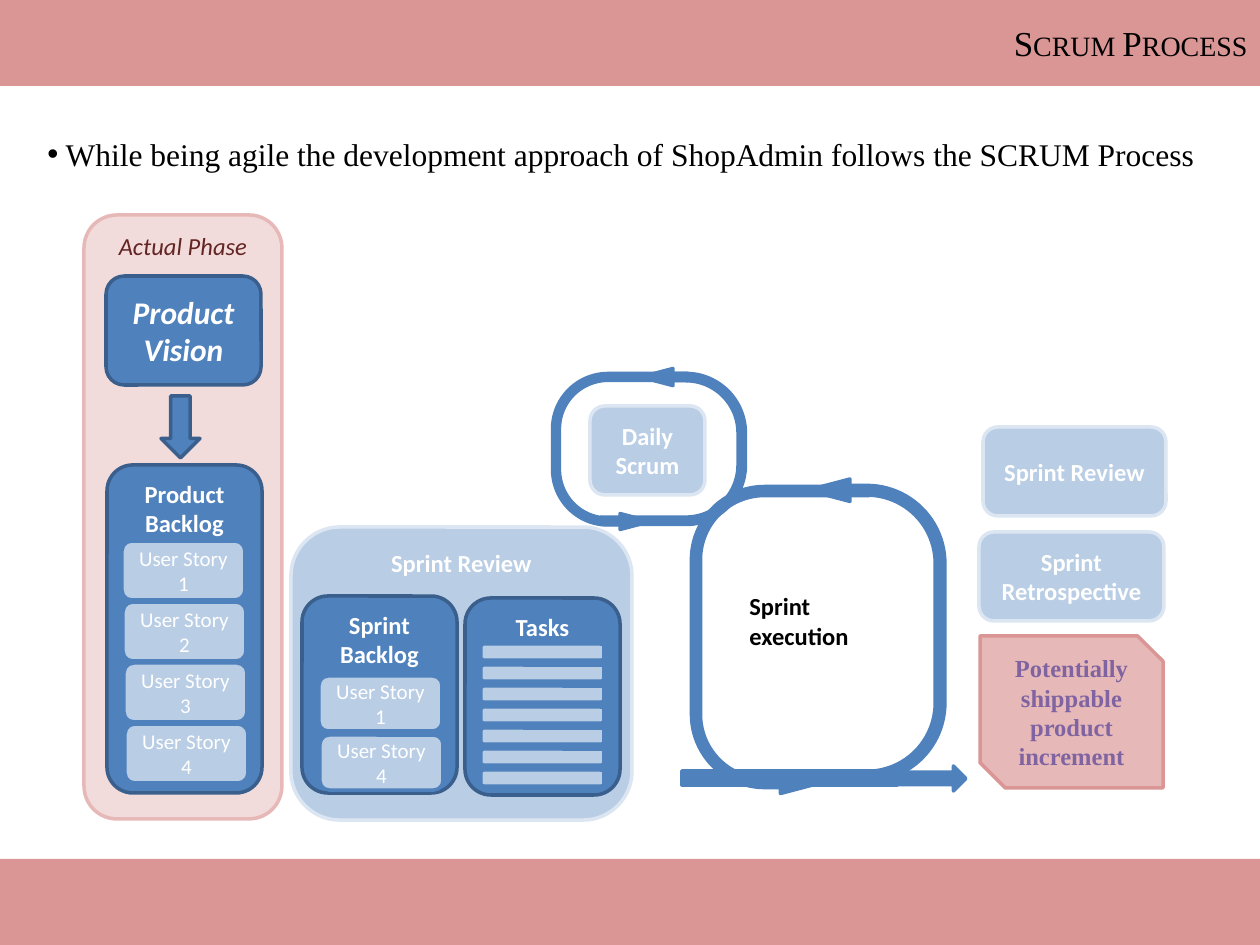
"""Build the Scrum process slide."""
from lxml import etree
from pptx import Presentation
from pptx.dml.color import RGBColor
from pptx.enum.shapes import MSO_SHAPE
from pptx.enum.text import MSO_ANCHOR, PP_ALIGN
from pptx.oxml.ns import qn
from pptx.util import Emu, Pt

ROUND, RECT = MSO_SHAPE.ROUNDED_RECTANGLE, MSO_SHAPE.RECTANGLE
SNIP, DOWN = MSO_SHAPE.SNIP_2_DIAG_RECTANGLE, MSO_SHAPE.DOWN_ARROW
TURN, NOTCH = MSO_SHAPE.U_TURN_ARROW, MSO_SHAPE.NOTCHED_RIGHT_ARROW
TOP, MIDDLE = MSO_ANCHOR.TOP, MSO_ANCHOR.MIDDLE
LEFT, CENTER, RIGHT = PP_ALIGN.LEFT, PP_ALIGN.CENTER, PP_ALIGN.RIGHT

BLACK = RGBColor(0x00, 0x00, 0x00)
WHITE = RGBColor(0xFF, 0xFF, 0xFF)
BLUE = RGBColor(0x4F, 0x81, 0xBD)
NAVY = RGBColor(0x3A, 0x5F, 0x8C)
SKY = RGBColor(0xB9, 0xCD, 0xE5)
ICE = RGBColor(0xDC, 0xE6, 0xF2)
ROSE = RGBColor(0xD9, 0x96, 0x94)
PINK = RGBColor(0xE6, 0xB9, 0xB8)
BLUSH = RGBColor(0xF2, 0xDC, 0xDB)
WINE = RGBColor(0x63, 0x25, 0x23)
PURPLE = RGBColor(0x80, 0x64, 0xA2)

SANS, SERIF = "Calibri", "Times New Roman"
SCALE = 914400 / 126
BEND = (0.051, 0.059, 0.224, 0.411, 0.724)


def px(*sizes):
    """Turn pixel lengths into EMU."""
    return [Emu(round(size * SCALE)) for size in sizes]


def write(shape, text, size=14, color=WHITE, font=SANS, bold=True,
          italic=False, align=CENTER, anchor=MIDDLE):
    """Write one paragraph per line of text."""
    frame = shape.text_frame
    frame.word_wrap = True
    frame.vertical_anchor = anchor
    for i, line in enumerate(text.split("\n")):
        para = frame.add_paragraph() if i else frame.paragraphs[0]
        para.alignment = align
        run = para.add_run()
        run.text = line
        run.font.size = Pt(size)
        run.font.name = font
        run.font.bold = bold
        run.font.italic = italic
        run.font.color.rgb = color
    return frame.paragraphs[0]


def block(tree, kind, box, fill, line=None):
    """Add a filled shape, outlined if a line colour is given."""
    shape = tree.add_shape(kind, *px(*box))
    shape.shadow.inherit = False
    shape.fill.solid()
    shape.fill.fore_color.rgb = fill
    if line is None:
        shape.line.fill.background()
    else:
        shape.line.color.rgb = line
        shape.line.width = Pt(2)
    return shape


def bend(tree, box, angle):
    """Add a mirrored, turned U-turn arrow."""
    shape = block(tree, TURN, box, BLUE, BLUE)
    for i, value in enumerate(BEND):
        shape.adjustments[i] = value
    shape.rotation = angle
    shape.element.spPr.find(qn("a:xfrm")).set("flipH", "1")


def card(tree, box, title):
    """Add a dark card with its title at the top."""
    write(block(tree, ROUND, box, BLUE, NAVY), title, anchor=TOP)


def story(tree, box, number):
    """Add a user story tile."""
    tile = block(tree, ROUND, box, SKY, BLUE)
    write(tile, f"User Story {number}", 12, bold=False)


def frame(tree):
    """Add the bands, the heading and the bullet line."""
    head = block(tree, RECT, (0, 0, 1260, 86), ROSE)
    para = write(head, "Scrum Process", 20, BLACK, SERIF, False, align=RIGHT)
    para.runs[0].font._element.set("cap", "small")
    block(tree, RECT, (0, 859, 1260, 86), ROSE)
    note = tree.add_textbox(*px(35, 110, 1181, 68))
    para = write(note, " While being agile the development approach of "
                 "ShopAdmin follows the SCRUM Process",
                 18, BLACK, SERIF, False, align=LEFT, anchor=TOP)
    para.line_spacing = 1.5
    props = para._p.get_or_add_pPr()
    etree.SubElement(props, qn("a:buFont")).set("typeface", "Arial")
    etree.SubElement(props, qn("a:buChar")).set("char", "•")


def backlogs(tree):
    """Add the product backlog, sprint backlog and task cards."""
    group = tree.add_group_shape().shapes
    card(group, (107, 465, 155, 328), "Product Backlog")
    for i in range(4):
        story(group, (122 + i, 541 + 61 * i, 123, 59), i + 1)
    group = tree.add_group_shape().shapes
    card(group, (302, 596, 155, 197), "Sprint Backlog")
    for i, number in enumerate((1, 4)):
        story(group, (319 + i, 676 + 59 * i, 123, 55), number)
    group = tree.add_group_shape().shapes
    card(group, (465, 598, 155, 197), "Tasks")
    for i in range(7):
        block(group, ROUND, (481, 644 + 21 * i, 123, 16), SKY, BLUE)


def loops(tree):
    """Add the sprint and daily loops with their label."""
    group = tree.add_group_shape().shapes
    bend(group, (699, 535, 302, 190), 90)
    bend(group, (627, 551, 307, 178), 270)
    block(group, NOTCH, (814, 766, 152, 25), BLUE, BLUE)
    block(group, RECT, (682, 771, 215, 14), BLUE, BLUE)
    label = group.add_textbox(*px(737, 585, 126, 72))
    write(label, "Sprint\nexecution", color=BLACK, align=LEFT, anchor=TOP)
    bend(group, (595, 374, 156, 145), 90)
    bend(group, (542, 384, 156, 135), 270)


def main():
    """Build and save the slide."""
    deck = Presentation()
    deck.slide_width, deck.slide_height = px(1260, 945)
    tree = deck.slides.add_slide(deck.slide_layouts[6]).shapes
    phase = block(tree, ROUND, (84, 215, 198, 604), BLUSH, PINK)
    write(phase, "Actual Phase", color=WINE, bold=False, italic=True,
          anchor=TOP)
    panel = block(tree, ROUND, (291, 527, 341, 293), SKY, ICE)
    write(panel, "Sprint Review", anchor=TOP)
    frame(tree)
    vision = block(tree, ROUND, (106, 276, 155, 109), BLUE, NAVY)
    write(vision, "Product Vision", 18, italic=True)
    backlogs(tree)
    loops(tree)
    for box, text in (
        ((590, 406, 115, 89), "Daily Scrum"),
        ((983, 427, 183, 89), "Sprint Review"),
        ((979, 532, 185, 89), "Sprint\nRetrospective"),
    ):
        write(block(tree, ROUND, box, SKY, ICE), text)
    result = block(tree, SNIP, (980, 636, 183, 152), PINK, ROSE)
    write(result, "Potentially shippable product increment",
          color=PURPLE, font=SERIF)
    block(tree, DOWN, (161, 396, 39, 62), BLUE, NAVY)
    deck.save("out.pptx")


if __name__ == "__main__":
    main()
